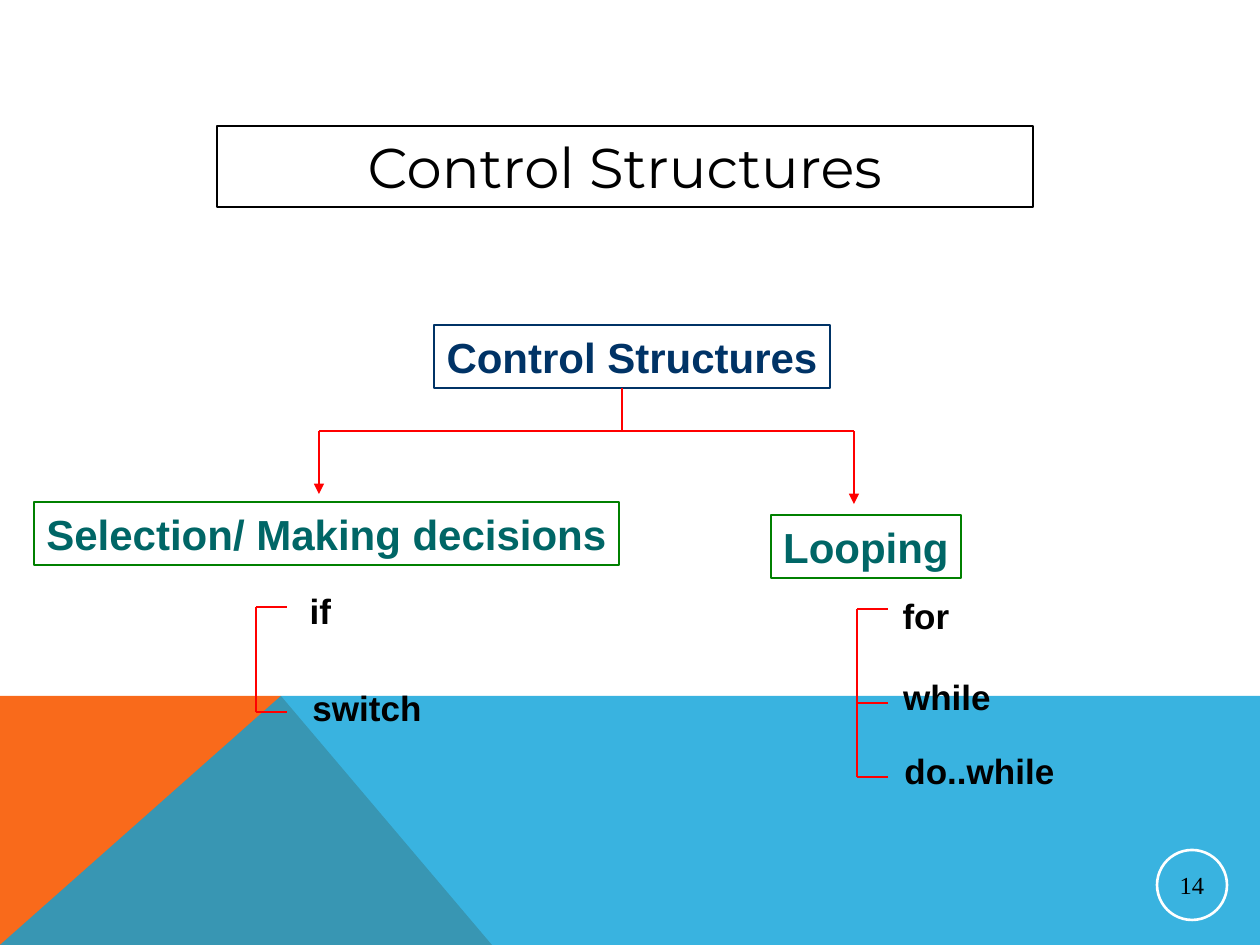
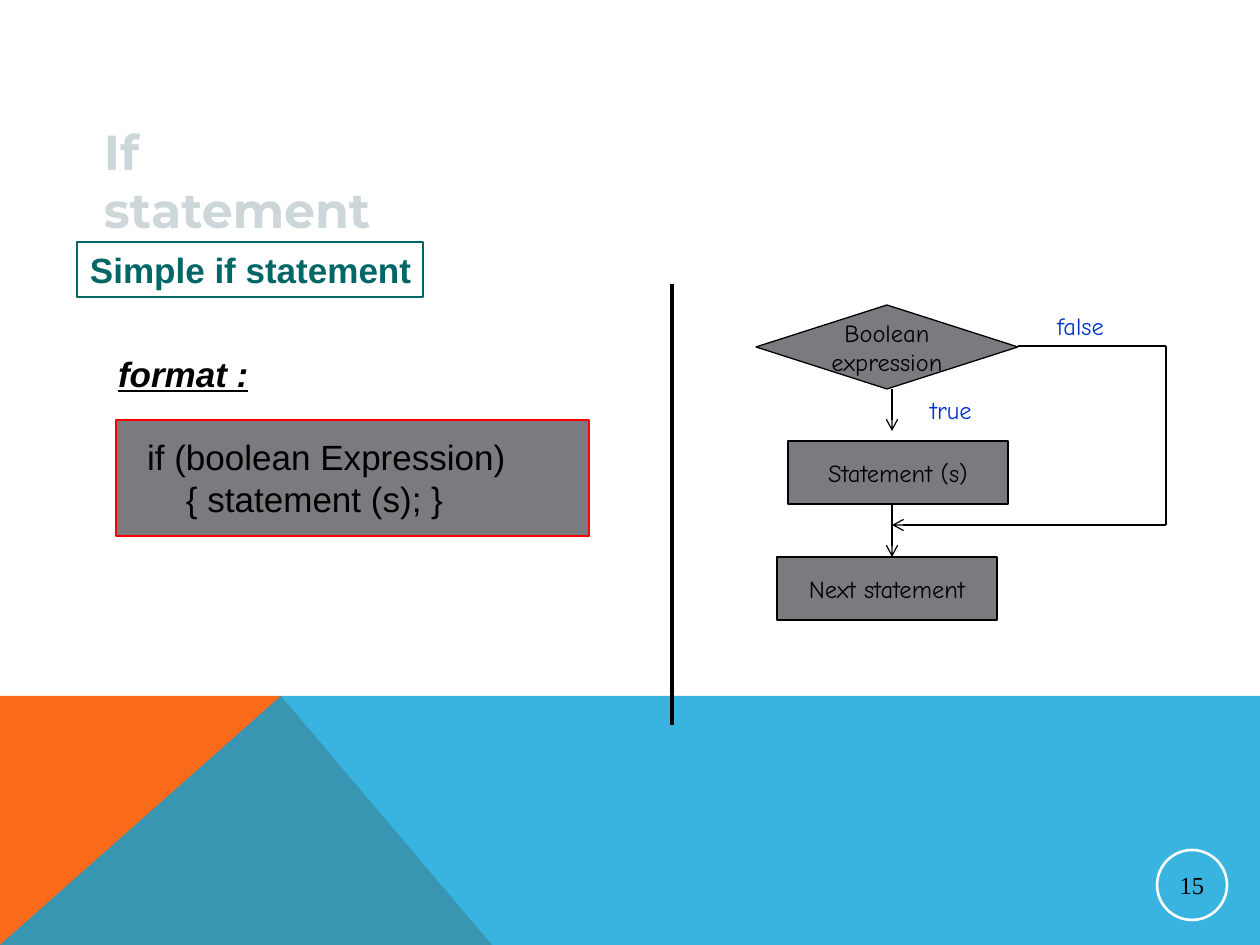
from lxml import etree
from pptx import Presentation
from pptx.dml.color import RGBColor
from pptx.enum.shapes import MSO_CONNECTOR, MSO_SHAPE
from pptx.enum.text import MSO_ANCHOR, MSO_AUTO_SIZE, PP_ALIGN
from pptx.oxml.ns import qn
from pptx.util import Pt

RECTANGLE, OVAL = MSO_SHAPE.RECTANGLE, MSO_SHAPE.OVAL
DECISION, PROCESS = MSO_SHAPE.FLOWCHART_DECISION, MSO_SHAPE.FLOWCHART_PROCESS
STRAIGHT = MSO_CONNECTOR.STRAIGHT
LEFT, CENTER = PP_ALIGN.LEFT, PP_ALIGN.CENTER
TOP, MIDDLE = MSO_ANCHOR.TOP, MSO_ANCHOR.MIDDLE
NO_AUTOFIT = MSO_AUTO_SIZE.NONE

BLACK = RGBColor(0x00, 0x00, 0x00)
WHITE = RGBColor(0xFF, 0xFF, 0xFF)
RED = RGBColor(0xFF, 0x00, 0x00)
NAVY = RGBColor(0x00, 0x33, 0x66)
GREEN = RGBColor(0x00, 0x80, 0x00)
TEAL = RGBColor(0x00, 0x66, 0x66)
BLUE = RGBColor(0x00, 0x33, 0xCC)
GRAY = RGBColor(0x79, 0x7B, 0x7E)
PALE = RGBColor(0xCD, 0xD7, 0xD9)
ORANGE = RGBColor(0xF9, 0x6A, 0x1B)
SKY = RGBColor(0x08, 0xA1, 0xD9)

SANS, COMIC, TITLE_FONT, NUMBER_FONT = "Arial", "Comic Neue", "Montserrat", "Times New Roman"
EMU_PER_PX = 914400 / 126
WIDTH, HEIGHT = 1260, 945

BANDS = [
    (ORANGE, 100, [(0, 945), (0, 696), (281, 696), (492, 945)]),
    (SKY, 80, [(0, 945), (281, 696), (1260, 696), (1260, 945)]),
]
NUMBER_PLACE = (1157, 850, 70, 70)

TREE_NODES = [
    ("Control Structures", (434, 325, 396, 63), NAVY, NAVY),
    ("Selection/ Making decisions", (34, 502, 585, 63), GREEN, TEAL),
    ("Looping", (771, 515, 190, 63), GREEN, TEAL),
]
TRUNK_X, TRUNK_TOP, BRANCH_Y = 622, 388, 431
BRANCH_ENDS = [(319, 494), (854, 504)]
KEYWORD_HEIGHT, TICK = 55, 31
BRACKETS = [
    (256, [("if", 607, (297, 583, 47)), ("switch", 712, (300, 680, 134))]),
    (857, [("for", 609, (890, 588, 72)), ("while", 703, (891, 669, 112)),
           ("do..while", 777, (892, 743, 175))]),
]

CODE = "   if (boolean Expression)\n       { statement (s); }"
FLOW_STEPS = [
    ("Boolean\nexpression", DECISION, (756, 305, 262, 84)),
    ("Statement (s)", PROCESS, (788, 441, 220, 63)),
    ("Next statement", PROCESS, (777, 557, 220, 63)),
]
FLOW_LINES = [
    ((1018, 346), (1166, 346), None),
    ((892, 389), (892, 431), "arrow"),
    ((1166, 346), (1166, 525), None),
    ((892, 504), (892, 557), "arrow"),
    ((1166, 525), (892, 525), "arrow"),
]
FLOW_LABELS = [("false", (1044, 305, 72, 43)), ("true", (917, 389, 67, 43))]


def px(*lengths):
    return [round(length * EMU_PER_PX) for length in lengths]


def write(box, text, size, color, font=SANS, bold=False, align=CENTER,
          anchor=MIDDLE, wrap=False, inset=13):
    frame = box.text_frame
    frame.text = text
    frame.auto_size = NO_AUTOFIT
    frame.word_wrap = wrap
    frame.vertical_anchor = anchor
    frame.margin_left, frame.margin_right = px(inset, inset)
    frame.margin_top, frame.margin_bottom = px(inset // 2, inset // 2)
    for para in frame.paragraphs:
        para.alignment = align
        for span in para.runs:
            span.font.name, span.font.size = font, Pt(size)
            span.font.bold = bold
            span.font.color.rgb = color


def add_box(shapes, kind, place, outline, fill=None, weight=0.75):
    box = shapes.add_shape(kind, *px(*place))
    box.shadow.inherit = False
    if fill is None:
        box.fill.background()
    else:
        box.fill.solid()
        box.fill.fore_color.rgb = fill
    box.line.color.rgb = outline
    box.line.width = Pt(weight)
    return box


def add_label(shapes, place, *text, **style):
    label = shapes.add_textbox(*px(*place))
    write(label, *text, **style)
    return label


def add_line(shapes, start, end, color, weight=0.75, head=None):
    line = shapes.add_connector(STRAIGHT, *px(*start, *end))
    line.line.color.rgb = color
    line.line.width = Pt(weight)
    properties = line.element.spPr
    if head:
        etree.SubElement(properties.find(qn("a:ln")), qn("a:tailEnd"), type=head)
    etree.SubElement(properties, qn("a:effectLst"))


def add_bands(page):
    for color, opacity, points in BANDS:
        builder = page.shapes.build_freeform(*points[0], scale=EMU_PER_PX)
        builder.add_line_segments(points[1:], close=True)
        band = builder.convert_to_shape()
        band.shadow.inherit = False
        band.fill.solid()
        band.fill.fore_color.rgb = color
        band.line.fill.background()
        if opacity < 100:
            tint = band.element.spPr.find(qn("a:solidFill"))[0]
            etree.SubElement(tint, qn("a:alpha"), val=str(opacity * 1000))
        page.slide_layout.shapes.element.append(band.element)


def add_page(deck, number, title, place, size, color, **style):
    page = deck.slides.add_slide(deck.slide_layouts[5])
    heading = page.shapes.title
    heading.left, heading.top, heading.width, heading.height = px(*place)
    write(heading, title, size, color, TITLE_FONT, wrap=True, **style)
    badge = add_box(page.shapes, OVAL, NUMBER_PLACE, WHITE, weight=1.5)
    write(badge, str(number), 14, BLACK, NUMBER_FONT, inset=2)
    return page


def build_tree(deck):
    page = add_page(deck, 14, "Control Structures", (217, 126, 816, 81), 32, BLACK)
    page.shapes.title.line.color.rgb = BLACK
    page.shapes.title.line.width = Pt(0.75)
    add_bands(page)
    shapes = page.shapes
    for text, place, outline, color in TREE_NODES:
        write(add_box(shapes, RECTANGLE, place, outline), text, 24, color, bold=True)

    add_line(shapes, (TRUNK_X, TRUNK_TOP), (TRUNK_X, BRANCH_Y), RED)
    add_line(shapes, (BRANCH_ENDS[0][0], BRANCH_Y), (BRANCH_ENDS[-1][0], BRANCH_Y), RED)
    for x, y in BRANCH_ENDS:
        add_line(shapes, (x, BRANCH_Y), (x, y), RED, head="triangle")

    for x, keywords in BRACKETS:
        add_line(shapes, (x, keywords[0][1]), (x, keywords[-1][1]), RED)
        for text, y, place in keywords:
            add_line(shapes, (x, y), (x + TICK, y), RED)
            add_label(shapes, (*place, KEYWORD_HEIGHT), text, 20, BLACK, bold=True)


def build_if(deck):
    page = add_page(deck, 15, "If statement", (91, 115, 331, 72), 28, PALE,
                    bold=True, align=LEFT, anchor=TOP)
    shapes = page.shapes
    subtitle = add_box(shapes, RECTANGLE, (77, 242, 346, 55), TEAL)
    write(subtitle, "Simple if statement", 20, TEAL, bold=True, align=LEFT)
    caption = add_label(shapes, (105, 346, 157, 55), "format :", 20, BLACK,
                        bold=True, align=LEFT)
    caption_font = caption.text_frame.paragraphs[0].runs[0].font
    caption_font.italic = caption_font.underline = True
    code = add_box(shapes, RECTANGLE, (116, 420, 473, 116), RED, GRAY)
    write(code, CODE, 20, BLACK, align=LEFT, wrap=True, inset=2)
    add_line(shapes, (672, 284), (672, 725), BLACK, 2.25)

    flow = shapes.add_group_shape().shapes
    for text, kind, place in FLOW_STEPS:
        write(add_box(flow, kind, place, BLACK, GRAY), text, 14, BLACK, COMIC)
    for start, end, head in FLOW_LINES:
        add_line(flow, start, end, BLACK, head=head)
    for text, place in FLOW_LABELS:
        add_label(flow, place, text, 14, BLUE, COMIC, align=LEFT, anchor=TOP)


def main():
    deck = Presentation()
    deck.slide_width, deck.slide_height = px(WIDTH, HEIGHT)
    build_tree(deck)
    build_if(deck)
    deck.save("out.pptx")


if __name__ == "__main__":
    main()
